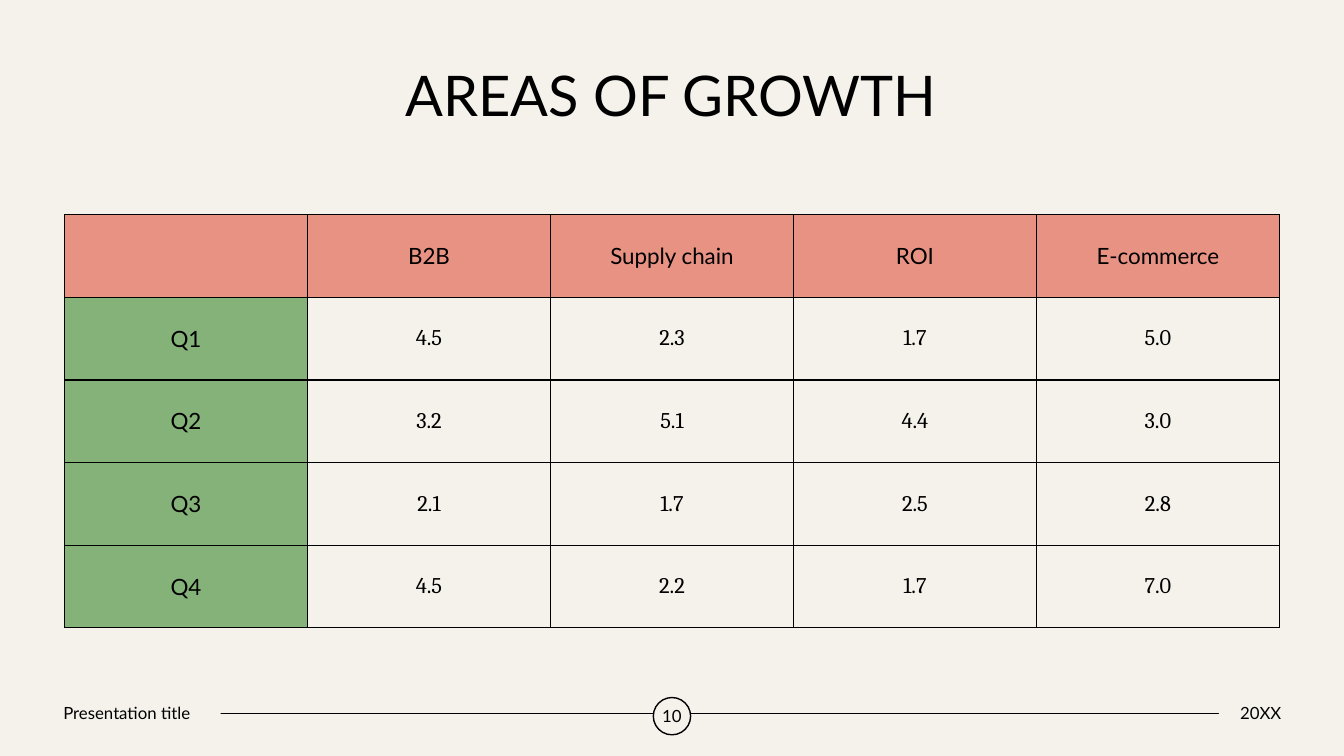
from dataclasses import dataclass
from lxml.etree import SubElement
from pptx import Presentation
from pptx.dml.color import RGBColor
from pptx.enum.shapes import MSO_CONNECTOR as Connector, MSO_SHAPE as Shape
from pptx.enum.text import MSO_ANCHOR as Anchor, PP_ALIGN as Align
from pptx.oxml.ns import qn
from pptx.util import Inches, Pt

TITLE = "AREAS OF GROWTH"
AREAS = ["B2B", "Supply chain", "ROI", "E-commerce"]
QUARTERS = {
    "Q1": ["4.5", "2.3", "1.7", "5.0"],
    "Q2": ["3.2", "5.1", "4.4", "3.0"],
    "Q3": ["2.1", "1.7", "2.5", "2.8"],
    "Q4": ["4.5", "2.2", "1.7", "7.0"],
}
FOOTER = [
    ("Presentation title", Shape.RECTANGLE, (0.53, 6.92, 1.66, 0.3), Align.LEFT, 0.1, False),
    ("10", Shape.OVAL, (6.48, 6.92, 0.37, 0.37), Align.CENTER, 0, True),
    ("20XX", Shape.RECTANGLE, (12.09, 6.92, 0.83, 0.3), Align.CENTER, 0, False),
]
FOOTER_RULE = (0.62, 7.08, 12.67, 7.08)
TITLE_BOX = (0.64, 0.59, 12.03, 0.78)
TABLE_CORNER = (0.64, 2.13)
COLUMN_WIDTH, ROW_HEIGHT = 2.41, 0.82


@dataclass(frozen=True)
class Theme:
    paper: RGBColor = RGBColor.from_string("F5F2EB")
    ink: RGBColor = RGBColor.from_string("000000")
    header: RGBColor = RGBColor.from_string("E89284")
    quarter: RGBColor = RGBColor.from_string("84B278")
    label_font: str = "Lato"
    value_font: str = "Cambria"
    title_size: int = 40
    table_size: int = 16
    footer_size: int = 12
    line_width: int = 1


theme = Theme()


def apply(target, formats):
    for attribute, value in formats.items():
        setattr(target, attribute, value)


def paint(fill, color):
    fill.solid()
    fill.fore_color.rgb = color


def write(frame, text, size, font=theme.label_font, align=Align.CENTER):
    frame.text = text
    paragraph = frame.paragraphs[0]
    paragraph.alignment = align
    apply(paragraph.runs[0].font, {"size": Pt(size), "name": font, "bold": False})
    paragraph.runs[0].font.color.rgb = theme.ink


def draw_line(line):
    line.color.rgb = theme.ink
    line.width = Pt(theme.line_width)


def add_title(slide):
    title = slide.shapes.title
    apply(title, dict(zip(("left", "top", "width", "height"), map(Inches, TITLE_BOX))))
    write(title.text_frame, TITLE, theme.title_size)
    apply(title.text_frame, {"vertical_anchor": Anchor.MIDDLE, "word_wrap": True})
    title.text_frame.paragraphs[0].line_spacing = 0.9


def add_borders(cell):
    properties = cell._tc.get_or_add_tcPr()
    for position, side in enumerate(("lnL", "lnR", "lnT", "lnB")):
        border = SubElement(properties, qn(f"a:{side}"), w=str(Pt(theme.line_width)))
        properties.insert(position, border)
        solid = SubElement(border, qn("a:solidFill"))
        SubElement(solid, qn("a:srgbClr"), val=str(theme.ink))


def add_growth_table(slide):
    rows = [["", *AREAS]] + [[quarter, *values] for quarter, values in QUARTERS.items()]
    size = (COLUMN_WIDTH * len(rows[0]), ROW_HEIGHT * len(rows))
    table = slide.shapes.add_table(
        len(rows), len(rows[0]), *map(Inches, TABLE_CORNER + size)).table
    apply(table, {"first_row": False, "horz_banding": False})
    for column in table.columns:
        column.width = Inches(COLUMN_WIDTH)
    for row_index, row in enumerate(rows):
        table.rows[row_index].height = Inches(ROW_HEIGHT)
        for column_index, text in enumerate(row):
            cell = table.cell(row_index, column_index)
            cell.vertical_anchor = Anchor.MIDDLE
            if row_index == 0:
                color, font = theme.header, theme.label_font
            elif column_index == 0:
                color, font = theme.quarter, theme.label_font
            else:
                color, font = theme.paper, theme.value_font
            paint(cell.fill, color)
            add_borders(cell)
            if text:
                write(cell.text_frame, text, theme.table_size, font)


def add_footer(slide):
    rule = slide.shapes.add_connector(Connector.STRAIGHT, *map(Inches, FOOTER_RULE))
    draw_line(rule.line)
    SubElement(rule._element.spPr, qn("a:effectLst"))
    for text, outline, box, align, inset, bordered in FOOTER:
        label = slide.shapes.add_shape(outline, *map(Inches, box))
        label.shadow.inherit = False
        paint(label.fill, theme.paper)
        if bordered:
            draw_line(label.line)
        else:
            label.line.fill.background()
        write(label.text_frame, text, theme.footer_size, align=align)
        apply(label.text_frame, {
            "vertical_anchor": Anchor.MIDDLE,
            "word_wrap": True,
            "margin_left": Inches(inset),
            "margin_right": Inches(inset),
            "margin_top": Inches(inset / 2),
            "margin_bottom": Inches(inset / 2),
        })


def main():
    deck = Presentation()
    apply(deck, {"slide_width": Inches(13.33), "slide_height": Inches(7.5)})
    slide = deck.slides.add_slide(deck.slide_layouts[5])
    paint(slide.background.fill, theme.paper)
    add_title(slide)
    add_growth_table(slide)
    add_footer(slide)
    deck.save("out.pptx")


if __name__ == "__main__":
    main()
